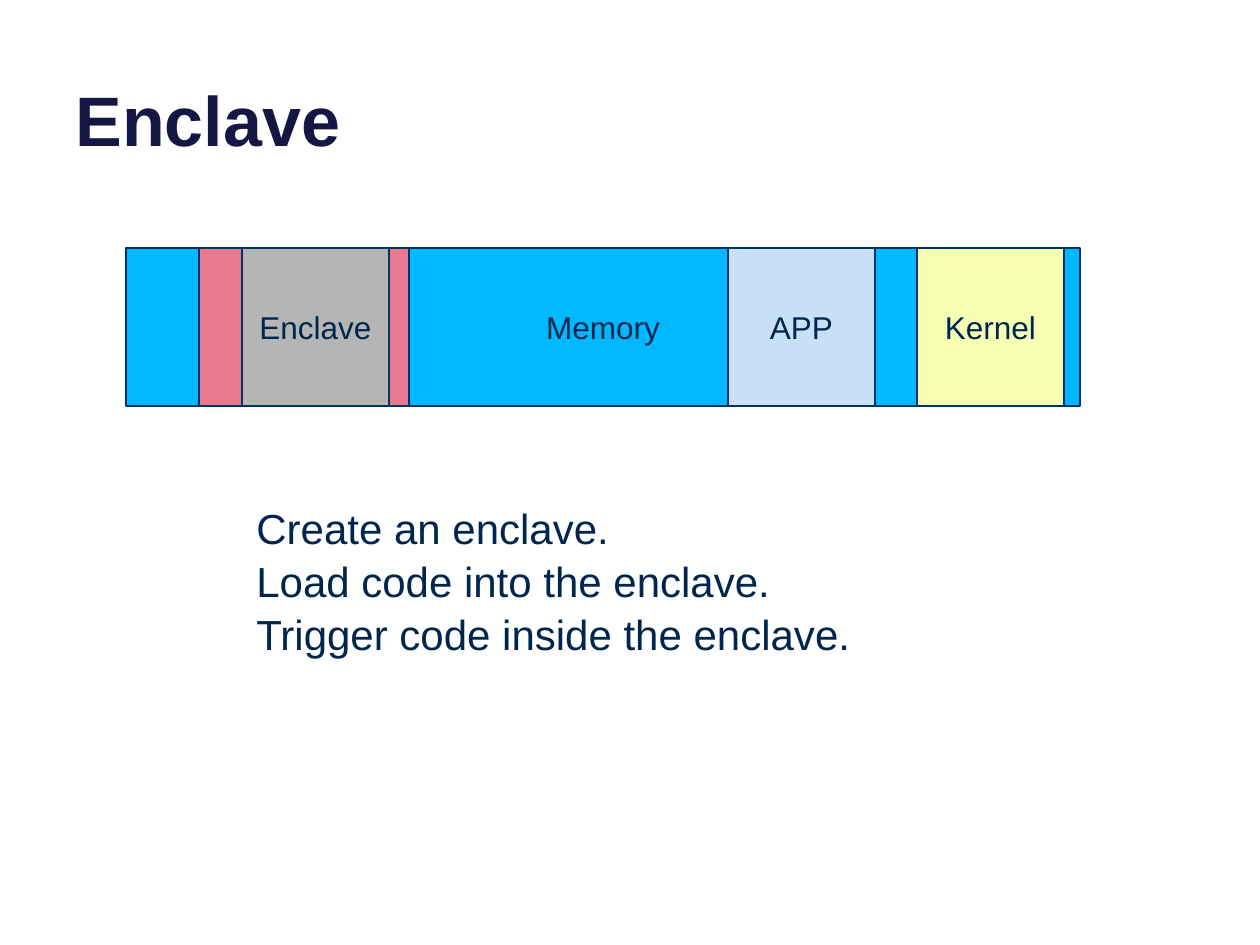
from pptx import Presentation
from pptx.dml.color import RGBColor
from pptx.enum.shapes import MSO_SHAPE
from pptx.enum.text import MSO_ANCHOR, MSO_AUTO_SIZE, PP_ALIGN
from pptx.util import Emu, Pt

PX = 914400 // 126
FONT, INK, TITLE_INK, BORDER = "Arial", "00264D", "161645", "003367"
BAR_TOP, BAR_HEIGHT = 248, 158

TITLE = "Enclave"
REGIONS = [
    ("Memory", 126, 954, "00B8FF"),
    ("", 199, 210, "E77A8F"),
    ("Enclave", 242, 147, "B5B5B5"),
    ("APP", 728, 147, "C7E0F6"),
    ("Kernel", 917, 147, "F6FFB3"),
]
STEPS = [
    "Create an enclave.",
    "Load code into the enclave.",
    "Trigger code inside the enclave.",
]


def px(*lengths):
    return [Emu(n * PX) for n in lengths]


def rgb(value):
    return RGBColor.from_string(value)


def style(p, size, color, align=PP_ALIGN.LEFT, bold=False):
    p.alignment = align
    for r in p.runs:
        r.font.name, r.font.size, r.font.bold = FONT, Pt(size), bold
        r.font.color.rgb = rgb(color)


def add_region(slide, label, left, width, fill):
    sp = slide.shapes.add_shape(
        MSO_SHAPE.RECTANGLE, *px(left, BAR_TOP, width, BAR_HEIGHT))
    sp.shadow.inherit = False
    sp.fill.solid()
    sp.fill.fore_color.rgb = rgb(fill)
    sp.line.color.rgb = rgb(BORDER)
    sp.line.width = Pt(0.75)
    if label:
        tf = sp.text_frame
        tf.text = label
        tf.vertical_anchor = MSO_ANCHOR.MIDDLE
        style(tf.paragraphs[0], 18, INK, PP_ALIGN.CENTER)


def main():
    prs = Presentation()
    prs.slide_width, prs.slide_height = px(1260, 945)
    slide = prs.slides.add_slide(prs.slide_layouts[5])

    title = slide.shapes.title
    title.left, title.top, title.width, title.height = px(63, -47, 1134, 214)
    tf = title.text_frame
    tf.text = TITLE
    tf.vertical_anchor = MSO_ANCHOR.BOTTOM
    tf.auto_size = MSO_AUTO_SIZE.NONE
    style(tf.paragraphs[0], 40, TITLE_INK, bold=True)

    for region in REGIONS:
        add_region(slide, *region)

    tf = slide.shapes.add_textbox(*px(244, 494, 718, 165)).text_frame
    tf.word_wrap = True
    tf.text = "\n".join(STEPS)
    for p in tf.paragraphs:
        p.line_spacing = 1.05
        style(p, 24, INK)

    prs.save("out.pptx")


if __name__ == "__main__":
    main()
